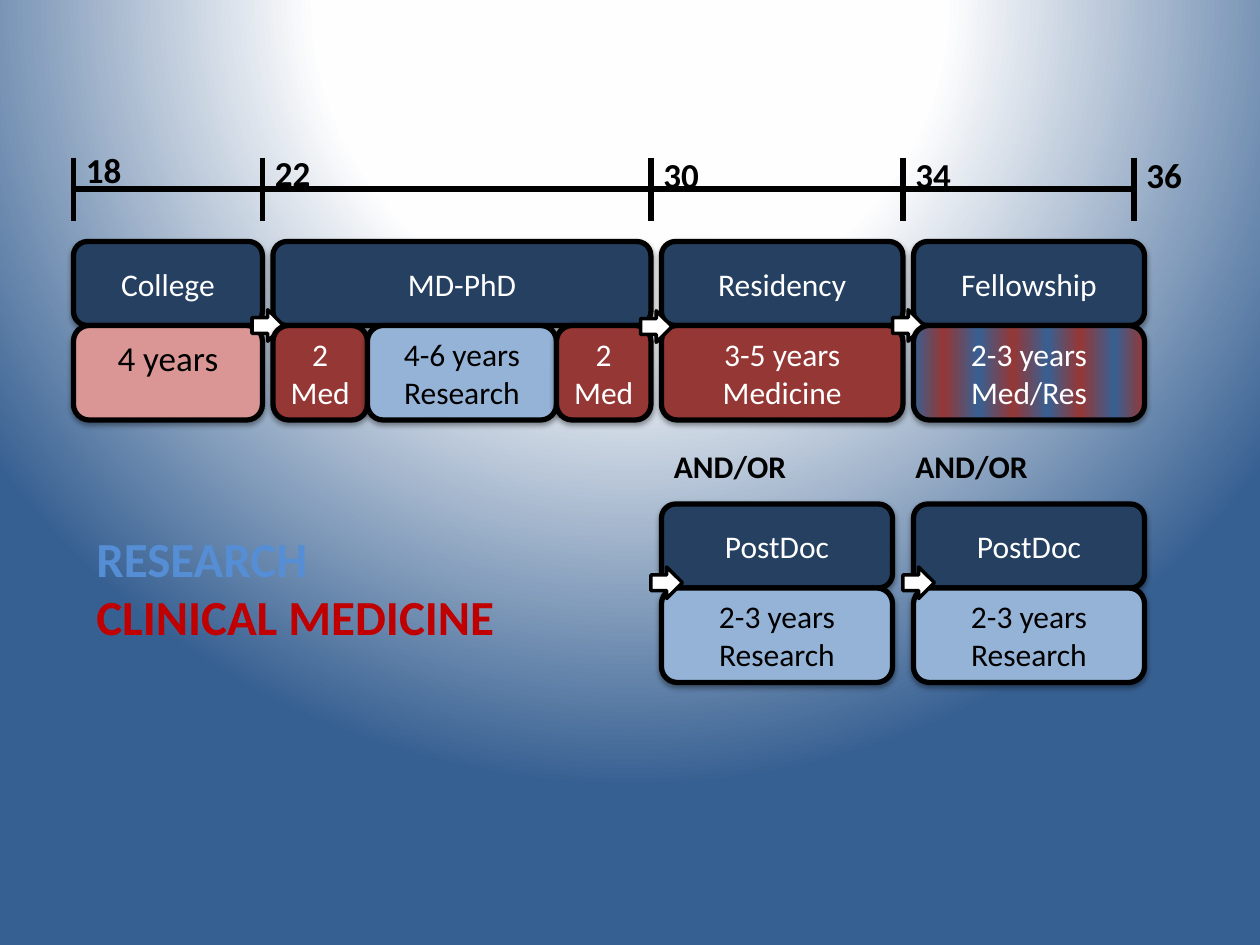
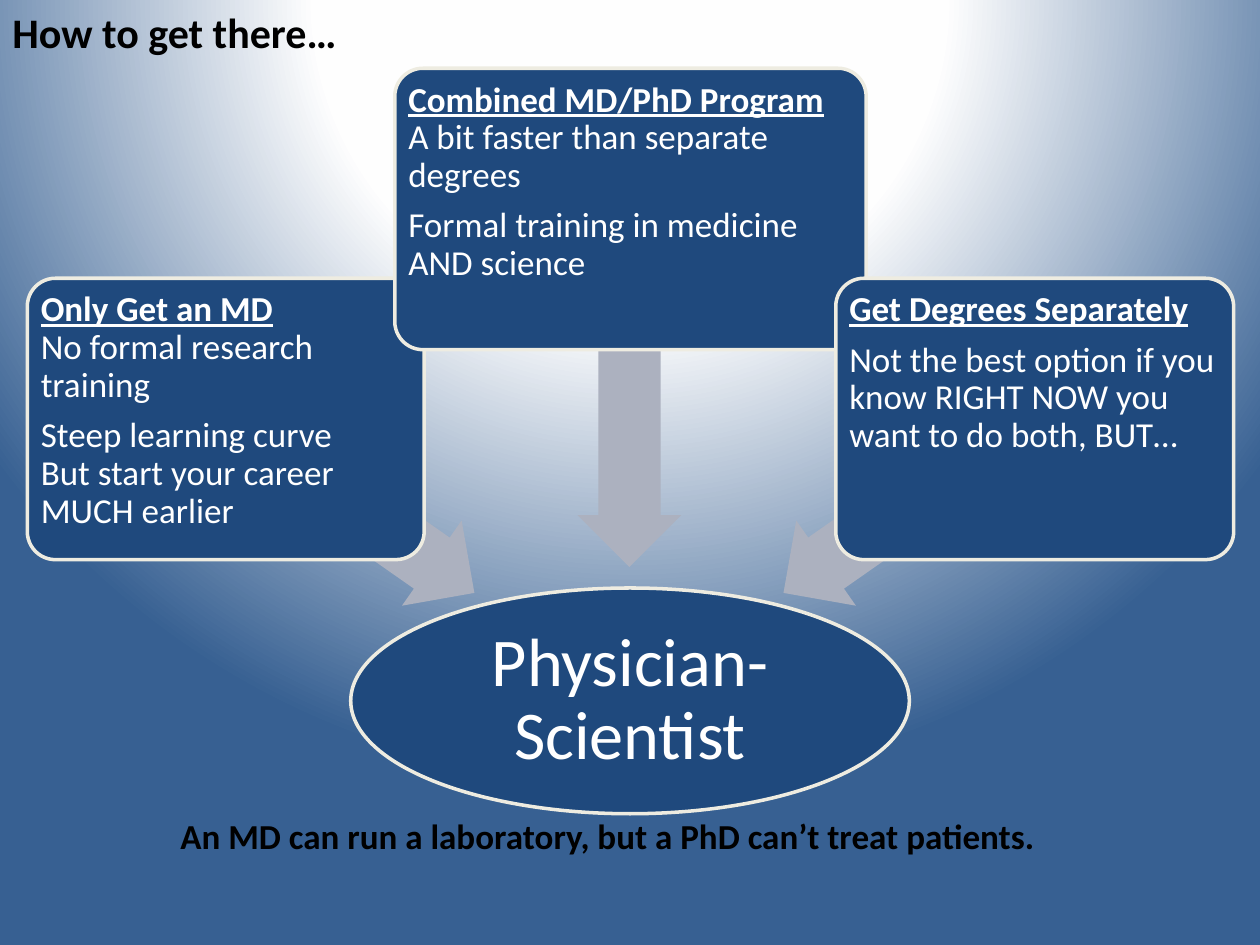
from dataclasses import dataclass

from pptx import Presentation
from pptx.dml.color import RGBColor
from pptx.enum.shapes import MSO_CONNECTOR, MSO_SHAPE
from pptx.enum.text import MSO_ANCHOR, PP_ALIGN
from pptx.oxml import parse_xml
from pptx.oxml.ns import nsdecls, qn
from pptx.util import Pt

PX = 7620  # EMU, 120 px to the inch


@dataclass(frozen=True)
class Theme:
    font: str = "Calibri"
    black: str = "000000"
    white: str = "FFFFFF"
    mist: str = "FEFEFE"
    blue: str = "376092"
    navy: str = "254061"
    sky: str = "95B3D7"
    pink: str = "D99694"
    wine: str = "953735"
    azure: str = "558ED5"
    red: str = "C00000"
    deep: str = "1F497D"
    cream: str = "EEECE1"
    grey: str = "ACB1BF"
    body: int = 18
    label: int = 20
    title: int = 24
    legend: int = 28
    goal: int = 39


T = Theme()


def draw(slide, kind, box, fill=None, line=None, width=3):
    """Add a flat preset shape, or a text box when kind is None."""
    left, top, wide, high = (n * PX for n in box)
    if kind is None:
        return slide.shapes.add_textbox(left, top, wide, high)
    shape = slide.shapes.add_shape(kind, left, top, wide, high)
    shape.shadow.inherit = False
    shape.fill.solid()
    shape.fill.fore_color.rgb = RGBColor.from_string(fill)
    if line:
        shape.line.color.rgb = RGBColor.from_string(line)
        shape.line.width = Pt(width)
    else:
        shape.line.fill.background()
    return shape


def write(shape, paras, size, ink, frame={}, para={}, **font):
    """Fill a shape with paragraphs, each a list of (text, own format) runs."""
    body = shape.text_frame
    for name, value in ({"word_wrap": True} | frame).items():
        setattr(body, name, value)
    for i, runs in enumerate(paras):
        item = body.add_paragraph() if i else body.paragraphs[0]
        for name, value in para.items():
            setattr(item, name, value)
        for text, own in runs:
            look = {"name": T.font, "size": Pt(size), "ink": ink} | font | own
            tint = look.pop("ink")
            for j, part in enumerate(text.split("\n")):
                if j:
                    item.add_line_break()
                if not part:
                    continue
                run = item.add_run()
                run.text = part
                run.font.color.rgb = RGBColor.from_string(tint)
                for name, value in look.items():
                    setattr(run.font, name, value)


deck = Presentation()
deck.slide_width, deck.slide_height = 1200 * PX, 900 * PX
blank = deck.slide_layouts[6]
master = deck.slide_master
master.background.fill.solid()
MID = {"vertical_anchor": MSO_ANCHOR.MIDDLE}
TOP = {"vertical_anchor": MSO_ANCHOR.TOP}
CENTRE = {"alignment": PP_ALIGN.CENTER}
LEFT = {"alignment": PP_ALIGN.LEFT}

# Slide 1: the training timeline
slide = deck.slides.add_slide(blank)
HEAD, SPAN = 80, 90  # heights of the stage names and of the years below
ROW, LATER = 230, 480

# left, top, width, height, text, fill, ink, arrows drawn on top
steps = [
    (left, ROW, wide, HEAD, text, T.navy, T.white, ())
    for left, wide, text in (
        (70, 180, "College"), (260, 360, "MD-PhD"),
        (630, 230, "Residency"), (870, 220, "Fellowship"))
]
steps += [
    (left, ROW + HEAD, wide, SPAN, text, fill, ink, arrows)
    for left, wide, text, fill, ink, arrows in (
        (70, 180, "4 years", T.pink, T.black, [(240, 295)]),
        (260, 90, "2\nMed", T.wine, T.white, ()),
        (350, 180, "4-6 years\nResearch", T.sky, T.black, ()),
        (530, 90, "2\nMed", T.wine, T.white, ()),
        (630, 230, "3-5 years\nMedicine", T.wine, T.white,
         [(610, 296), (850, 295)]),
        (870, 220, "2-3 years\nMed/Res", T.wine, T.white, ()))
]
for left in (630, 870):
    steps += [
        (left, LATER, 220, HEAD, "PostDoc", T.navy, T.white, ()),
        (left, LATER + HEAD, 220, SPAN, "2-3 years\nResearch", T.sky, T.black,
         [(left - 10, 540)]),
    ]

for left, top, wide, high, text, fill, ink, arrows in steps:
    box = draw(slide, MSO_SHAPE.ROUNDED_RECTANGLE, (left, top, wide, high),
               fill, T.black)
    box.element.spPr.find(qn("a:effectLst")).append(parse_xml(
        f'<a:outerShdw {nsdecls("a")} blurRad="40000" dist="20000" '
        f'dir="5400000" rotWithShape="0"><a:srgbClr val="{T.black}">'
        '<a:alpha val="38000"/></a:srgbClr></a:outerShdw>'))
    first = fill == T.pink
    write(box, [[(row, {})] for row in text.split("\n")],
          T.label if first else T.body, ink, TOP if first else MID, CENTRE)
    if text.endswith("Med/Res"):
        mixed = box
    for x, y in arrows:
        draw(slide, MSO_SHAPE.RIGHT_ARROW, (x, y, 30, 30),
             T.white, T.black, 2)

for left in (630, 860):
    write(draw(slide, None, (left, 420, 220, 60)), [[("AND/OR", {})]],
          T.body, T.black, bold=True)

ages = [("18", 70, 136), ("22", 250, 138), ("30", 620, 140),
        ("34", 860, 140), ("36", 1080, 140)]
lines = [(70, 180, 1080, 180)] + [(x, 150, x, 210) for _, x, _ in ages]
for ends in lines:
    line = slide.shapes.add_connector(MSO_CONNECTOR.STRAIGHT,
                                      *(n * PX for n in ends))
    line.line.color.rgb = RGBColor.from_string(T.black)
    line.line.width = Pt(3)
    line.element.spPr.append(parse_xml(f'<a:effectLst {nsdecls("a")}/>'))
for age, x, y in ages:
    write(draw(slide, None, (x, y, 70, 53)), [[(age, {})]],
          T.label, T.black, bold=True)

write(draw(slide, None, (80, 497, 420, 125)),
      [[("RESEARCH\n", {"ink": T.azure}), ("CLINICAL MEDICINE", {})]],
      T.legend, T.red, bold=True)

# Slide 2: three routes to one goal
slide = deck.slides.add_slide(blank)
SIDES = ("margin_left", "margin_top", "margin_right", "margin_bottom")
TIGHT = {"line_spacing": 0.9, "space_after": Pt(7)}
HEADING = {"bold": True, "underline": True}

goal = draw(slide, MSO_SHAPE.OVAL, (334, 560, 532, 215), T.deep, T.cream, 2)
write(goal, [[("Physician- Scientist", {})]], T.goal, T.white,
      MID | dict.fromkeys(SIDES, 4 * PX), CENTRE | {"line_spacing": 0.9})

routes = [
    ((188, 432, 290, 99), 215, (26, 265, 378, 268),
     [[("Only Get an MD\n", HEADING), ("No formal research training", {})],
      [("Steep learning curve\nBut start your career MUCH earlier", {})]]),
    ((428, 319, 343, 99), 270, (376, 65, 449, 268),
     [[("Combined MD/PhD Program\n", HEADING),
       ("A bit faster than separate degrees", {})],
      [("Formal training in medicine AND science", {})]]),
    ((720, 432, 290, 99), 325, (796, 265, 379, 268),
     [[("Get Degrees Separately", HEADING)],
      [("Not the best option if you know RIGHT NOW you want to do both, BUT…",
        {})]]),
]
for way, turn, place, paras in routes:
    arrow = draw(slide, MSO_SHAPE.LEFT_ARROW, way, T.grey)
    arrow.rotation = turn
    arrow.adjustments[0] = 0.6
    card = draw(slide, MSO_SHAPE.ROUNDED_RECTANGLE, place, T.deep, T.cream, 2)
    card.adjustments[0] = 0.1
    write(card, paras, T.label, T.white,
          TOP | dict.fromkeys(SIDES, 5 * PX), LEFT | TIGHT)

for text, place, size in (
        ("How to get there…", (0, 0, 490, 60), T.title),
        ("An MD can run a laboratory, but a PhD can’t treat patients.",
         (160, 770, 910, 53), T.label)):
    write(draw(slide, None, place), [[(text, {})]], size, T.black, bold=True)

# Gradients: the shared backdrop and the mixed fellowship box
glow = ('<a:path path="circle"><a:fillToRect l="50000" t="-80000" '
        'r="50000" b="180000"/></a:path>')
bands = [(at, (T.blue, T.wine)[i % 2])
         for i, at in enumerate((0, 13, 28, 43, 58, 72, 87, 100))]
for host, stops, course in (
        (master.element.find(".//" + qn("p:bgPr")),
         [(0, T.white), (40, T.mist), (100, T.blue)], glow),
        (mixed.element.spPr, bands, '<a:lin ang="0" scaled="0"/>')):
    marks = "".join(f'<a:gs pos="{at * 1000}"><a:srgbClr val="{tint}"/></a:gs>'
                    for at, tint in stops)
    host.replace(host.find(qn("a:solidFill")), parse_xml(
        f'<a:gradFill {nsdecls("a")} rotWithShape="1">'
        f'<a:gsLst>{marks}</a:gsLst>{course}</a:gradFill>'))

deck.save("out.pptx")
